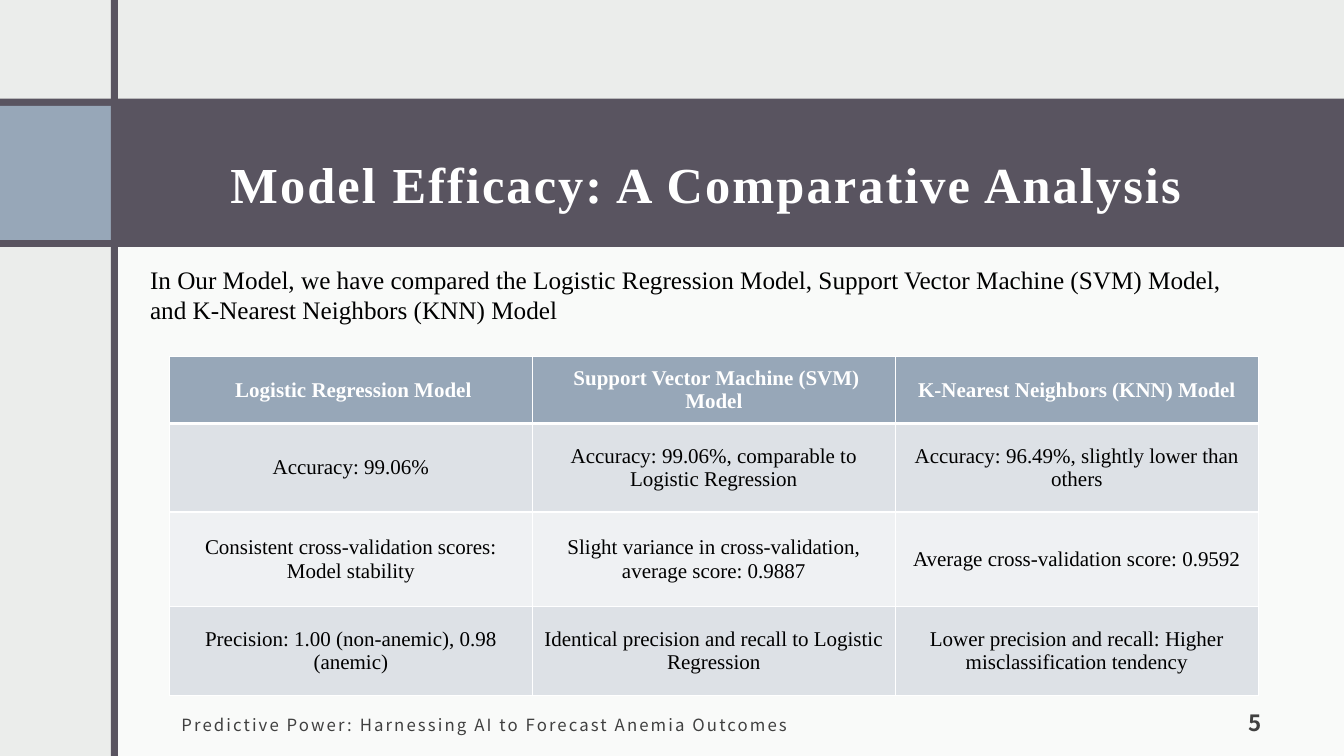
from dataclasses import dataclass, field

from lxml import etree
from pptx import Presentation
from pptx.dml.color import RGBColor
from pptx.enum.shapes import MSO_SHAPE
from pptx.enum.text import MSO_ANCHOR, PP_ALIGN
from pptx.oxml.ns import qn
from pptx.util import Inches, Pt

RECT = MSO_SHAPE.RECTANGLE
TOP, MIDDLE, BOTTOM = MSO_ANCHOR.TOP, MSO_ANCHOR.MIDDLE, MSO_ANCHOR.BOTTOM
LEFT, CENTER, RIGHT = PP_ALIGN.LEFT, PP_ALIGN.CENTER, PP_ALIGN.RIGHT

COLORS = {
    "page": "EBEDEB", "white": "FFFFFF", "plum": "595460", "blue": "97A7B8",
    "gray": "404040", "black": "000000", "dark": "DDE1E6", "light": "EFF1F3",
}
SERIF, SANS = "Times New Roman", "Noto Sans CJK JP"
WIDE = (0.12, 0.12, 0.12, 0.1)
SIDES = ("left", "top", "right", "bottom")


@dataclass
class Panel:
    box: tuple
    color: str
    alpha: int = 100


@dataclass
class Style:
    size: float
    name: str
    color: str
    bold: bool = False
    gap: int = 0
    align: int = LEFT
    line: float = 1.0


@dataclass
class Label:
    text: str
    box: tuple
    style: Style
    anchor: int = MIDDLE
    inset: tuple = field(default=WIDE)


PANELS = [
    Panel((1.14, 2.33, 12.19, 5.17), "white", 75),
    Panel((0, 0.98, 13.33, 1.47), "plum"),
    Panel((0, 1.05, 1.1, 1.33), "blue"),
    Panel((1.1, 0, 0.07, 7.5), "plum"),
]

LABELS = [
    Label("Model Efficacy: A Comparative Analysis", (1.53, 1.09, 10.95, 1.13),
          Style(36, SERIF, "white", True, 150, CENTER, 1.5)),
    Label("Predictive Power: Harnessing AI to Forecast Anemia Outcomes",
          (1.68, 7.07, 6.27, 0.23), Style(12, SANS, "gray", gap=150)),
    Label("5", (11.56, 6.9, 1.07, 0.5),
          Style(16, SANS, "gray", True, 150, RIGHT), BOTTOM),
    Label("In Our Model, we have compared the Logistic Regression Model, "
          "Support Vector Machine (SVM) Model, and K-Nearest Neighbors (KNN) Model",
          (1.39, 2.57, 11.24, 0.71), Style(18, SERIF, "black"), TOP,
          (0.1, 0.05, 0.1, 0.05)),
]

HEIGHTS = (0.66, 0.88, 0.94, 0.88)
WIDTH = 3.6
HEAD = Style(15, SERIF, "white", True, align=CENTER)
BODY = Style(15, SERIF, "black", align=CENTER)
ROWS = [
    (" Logistic Regression Model", " Support Vector Machine (SVM) Model",
     "K-Nearest Neighbors (KNN) Model"),
    ("Accuracy: 99.06%", "Accuracy: 99.06%, comparable to Logistic Regression",
     "Accuracy: 96.49%, slightly lower than others"),
    ("Consistent cross-validation scores: Model stability",
     "Slight variance in cross-validation, average score: 0.9887",
     "Average cross-validation score: 0.9592"),
    ("Precision: 1.00 (non-anemic), 0.98 (anemic)",
     "Identical precision and recall to Logistic Regression",
     "Lower precision and recall: Higher misclassification tendency"),
]


def paint(fill, color: str) -> None:
    fill.solid()
    fill.fore_color.rgb = RGBColor.from_string(COLORS[color])


def write(frame, text: str, style: Style) -> None:
    para = frame.paragraphs[0]
    para.alignment = style.align
    para.line_spacing = style.line
    run = para.add_run()
    run.text = text
    form = {"size": Pt(style.size), "name": style.name, "bold": style.bold}
    for key, value in form.items():
        setattr(run.font, key, value)
    run.font.color.rgb = RGBColor.from_string(COLORS[style.color])
    if style.gap:
        run.font._element.set("spc", str(style.gap))


def draw_panel(slide, panel: Panel) -> None:
    shape = slide.shapes.add_shape(RECT, *map(Inches, panel.box))
    shape.shadow.inherit = False
    paint(shape.fill, panel.color)
    shape.line.fill.background()
    if panel.alpha < 100:
        tint = shape._element.spPr.find(".//" + qn("a:srgbClr"))
        etree.SubElement(tint, qn("a:alpha"), val=str(panel.alpha * 1000))


def draw_label(slide, label: Label) -> None:
    frame = slide.shapes.add_textbox(*map(Inches, label.box)).text_frame
    frame.word_wrap = True
    frame.vertical_anchor = label.anchor
    for side, inset in zip(SIDES, label.inset):
        setattr(frame, f"margin_{side}", Inches(inset))
    write(frame, label.text, label.style)


def edge(cell, row: int) -> None:
    props = cell._tc.get_or_add_tcPr()
    widths = {"L": 1, "R": 1, "T": 3 if row == 1 else 1, "B": 3 if row == 0 else 1}
    for side, width in widths.items():
        line = etree.SubElement(props, qn(f"a:ln{side}"), w=str(Pt(width)))
        fill = etree.SubElement(line, qn("a:solidFill"))
        etree.SubElement(fill, qn("a:srgbClr"), val=COLORS["white"])


def draw_table(slide) -> None:
    count = len(ROWS[0])
    box = (1.68, 3.54, WIDTH * count, sum(HEIGHTS))
    table = slide.shapes.add_table(len(ROWS), count, *map(Inches, box)).table
    for col in table.columns:
        col.width = Inches(WIDTH)
    for row, texts in enumerate(ROWS):
        table.rows[row].height = Inches(HEIGHTS[row])
        color = "blue" if row == 0 else "dark" if row % 2 else "light"
        for col, text in enumerate(texts):
            cell = table.cell(row, col)
            cell.vertical_anchor = MIDDLE
            edge(cell, row)
            paint(cell.fill, color)
            write(cell.text_frame, text, BODY if row else HEAD)


def main() -> None:
    deck = Presentation()
    deck.slide_width, deck.slide_height = Inches(13.33), Inches(7.5)
    slide = deck.slides.add_slide(deck.slide_layouts[6])
    paint(slide.background.fill, "page")
    for panel in PANELS:
        draw_panel(slide, panel)
    for label in LABELS:
        draw_label(slide, label)
    draw_table(slide)
    deck.save("out.pptx")


if __name__ == "__main__":
    main()
